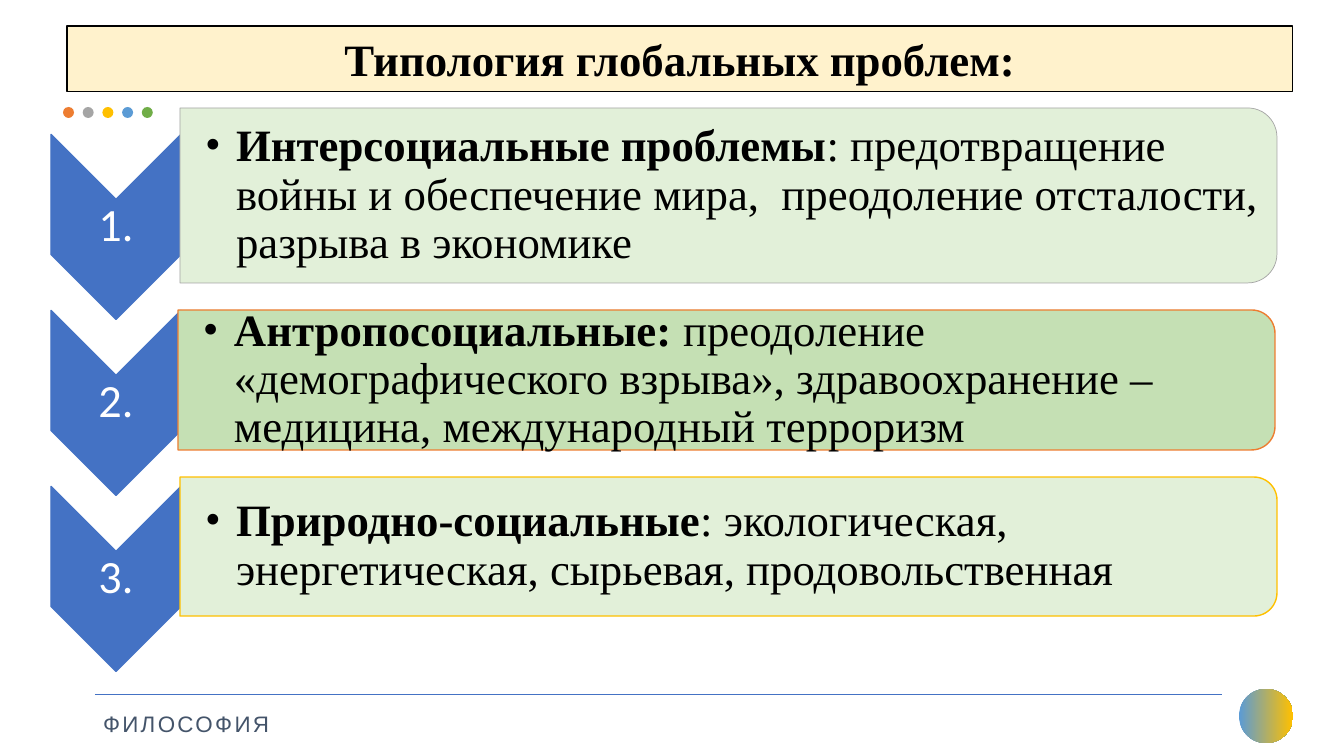
from lxml.etree import SubElement
from pptx import Presentation
from pptx.dml.color import RGBColor
from pptx.enum.shapes import MSO_CONNECTOR, MSO_SHAPE
from pptx.enum.text import MSO_ANCHOR, PP_ALIGN
from pptx.oxml.ns import qn
from pptx.util import Emu, Pt

BLACK = RGBColor(0x00, 0x00, 0x00)
WHITE = RGBColor(0xFF, 0xFF, 0xFF)
CREAM = RGBColor(0xFF, 0xF2, 0xCC)
BLUE = RGBColor(0x44, 0x72, 0xC4)
SKY = RGBColor(0x5B, 0x9B, 0xD5)
ORANGE = RGBColor(0xED, 0x7D, 0x31)
GRAY = RGBColor(0xA5, 0xA5, 0xA5)
GOLD = RGBColor(0xFF, 0xC0, 0x00)
GREEN = RGBColor(0x70, 0xAD, 0x47)
PALE_GREEN = RGBColor(0xE2, 0xF0, 0xD9)
SOFT_GREEN = RGBColor(0xC5, 0xE0, 0xB4)
SLATE = RGBColor(0x44, 0x54, 0x6A)

SERIF = "Times New Roman"
TITLE = "Типология глобальных проблем:"
SUBJECT = "ФИЛОСОФИЯ"
DOT_COLORS = [ORANGE, GRAY, GOLD, SKY, GREEN]
PROBLEMS = [
    dict(number="1.", kind="Интерсоциальные проблемы",
         details=": предотвращение  войны и обеспечение мира,  преодоление отсталости, разрыва в экономике",
         left=180, top=108, height=175, fill=PALE_GREEN, border=GRAY, weight=0.5),
    dict(number="2.", kind="Антропосоциальные: ",
         details="преодоление «демографического взрыва», здравоохранение – медицина, международный терроризм",
         left=178, top=310, height=140, fill=SOFT_GREEN, border=ORANGE, weight=1),
    dict(number="3.", kind="Природно-социальные",
         details=": экологическая, энергетическая, сырьевая, продовольственная",
         left=180, top=477, height=139, fill=PALE_GREEN, border=GOLD, weight=1),
]

EMU_PER_PX = 914400 / 100.8
CARD_WIDTH, CARD_TEXT_WIDTH, CARD_PADDING = 1097, 1089, 8
CHEVRON_LENGTH, CHEVRON_WIDTH = 185, 130
CHEVRON_X, CHEVRON_Y, CHEVRON_STEP = 116, 227, 176
NUMBER_HEIGHT = 55
DOT_SIZE, DOT_LEFT, DOT_TOP, DOT_STEP = 11, 63, 107, 19.7


def px(value):
    return Emu(round(value * EMU_PER_PX))


def box(left, top, width, height):
    return [px(value) for value in (left, top, width, height)]


def write(holder, *parts, size, color, font=SERIF, bold=False, align=None,
          spacing=None, tracking=None, hanging=None, insets=None, wrap=True):
    frame = holder.text_frame
    frame.word_wrap = wrap
    frame.vertical_anchor = MSO_ANCHOR.MIDDLE
    if insets:
        (frame.margin_left, frame.margin_top,
         frame.margin_right, frame.margin_bottom) = box(*insets)
    paragraph = frame.paragraphs[0]
    paragraph.alignment = align
    paragraph.line_spacing = spacing
    if hanging:
        properties = paragraph._p.get_or_add_pPr()
        properties.set("marL", str(px(hanging)))
        properties.set("indent", str(-px(hanging)))
        SubElement(properties, qn("a:buFont")).set("typeface", SERIF)
        SubElement(properties, qn("a:buChar")).set("char", "•")
    for index, part in enumerate(parts):
        run = paragraph.add_run()
        run.text = part
        run.font.name = font
        run.font.size = Pt(size)
        run.font.bold = bold and index == 0
        run.font.color.rgb = color
        if tracking:
            run._r.get_or_add_rPr().set("spc", str(tracking))


def add_figure(shapes, preset, place, fill=None, border=None, weight=1, rotation=0):
    figure = shapes.add_shape(preset, *box(*place))
    figure.shadow.inherit = False
    figure.rotation = rotation
    if fill is not None:
        figure.fill.solid()
        figure.fill.fore_color.rgb = fill
    if border is None:
        figure.line.fill.background()
    else:
        figure.line.color.rgb = border
        figure.line.width = Pt(weight)
    return figure


def centered(x, y, width, height):
    return x - width / 2, y - height / 2, width, height


def add_frame(shapes, title):
    title.left, title.top, title.width, title.height = box(67, 26, 1226, 66)
    title.fill.solid()
    title.fill.fore_color.rgb = CREAM
    title.line.color.rgb = BLACK
    title.line.width = Pt(0.75)
    write(title, TITLE, size=32, color=BLACK, bold=True, align=PP_ALIGN.CENTER)

    badge = add_figure(shapes, MSO_SHAPE.OVAL, (1239, 689, 54, 54))
    badge.fill.gradient()
    badge.fill.gradient_angle = 0
    for stop, color in zip(badge.fill.gradient_stops, (SKY, GOLD)):
        stop.color.rgb = color

    rule = shapes.add_connector(MSO_CONNECTOR.STRAIGHT, *box(95, 694, 1222, 694))
    rule.line.color.rgb = BLUE
    rule.line.width = Pt(0.5)
    SubElement(rule._element.spPr, qn("a:effectLst"))

    for index, color in enumerate(DOT_COLORS):
        place = (DOT_LEFT + index * DOT_STEP, DOT_TOP, DOT_SIZE, DOT_SIZE)
        add_figure(shapes, MSO_SHAPE.OVAL, place, color)

    subject = shapes.add_textbox(*box(99, 694, 179, 45))
    write(subject, SUBJECT, size=16, color=SLATE, font="Arial", spacing=1.5,
          tracking=170, insets=(4, 4, 4, 4), wrap=False)


def add_problem(shapes, index, problem):
    chevron_y = CHEVRON_Y + index * CHEVRON_STEP
    add_figure(shapes, MSO_SHAPE.CHEVRON,
               centered(CHEVRON_X, chevron_y, CHEVRON_LENGTH, CHEVRON_WIDTH),
               BLUE, BLUE, rotation=90)
    number = shapes.add_textbox(
        *box(*centered(CHEVRON_X, chevron_y, CHEVRON_WIDTH, NUMBER_HEIGHT)))
    write(number, problem["number"], size=33, color=WHITE, font="Calibri",
          align=PP_ALIGN.CENTER, spacing=0.9, insets=(2, 2, 2, 2))

    left, top, height = problem["left"], problem["top"], problem["height"]
    add_figure(shapes, MSO_SHAPE.ROUND_2_SAME_RECTANGLE,
               centered(left + CARD_WIDTH / 2, top + height / 2, height, CARD_WIDTH),
               problem["fill"], problem["border"], problem["weight"], rotation=90)
    card_text = shapes.add_textbox(
        *box(left, top + CARD_PADDING, CARD_TEXT_WIDTH, height - 2 * CARD_PADDING))
    write(card_text, problem["kind"], problem["details"], size=32, color=BLACK,
          bold=True, spacing=0.9, hanging=31, insets=(25, 2, 2, 2))


def main():
    deck = Presentation()
    deck.slide_width, deck.slide_height = px(1344), px(756)
    slide = deck.slides.add_slide(deck.slide_layouts[5])
    add_frame(slide.shapes, slide.shapes.title)
    for index, problem in enumerate(PROBLEMS):
        add_problem(slide.shapes, index, problem)
    deck.save("out.pptx")


if __name__ == "__main__":
    main()
